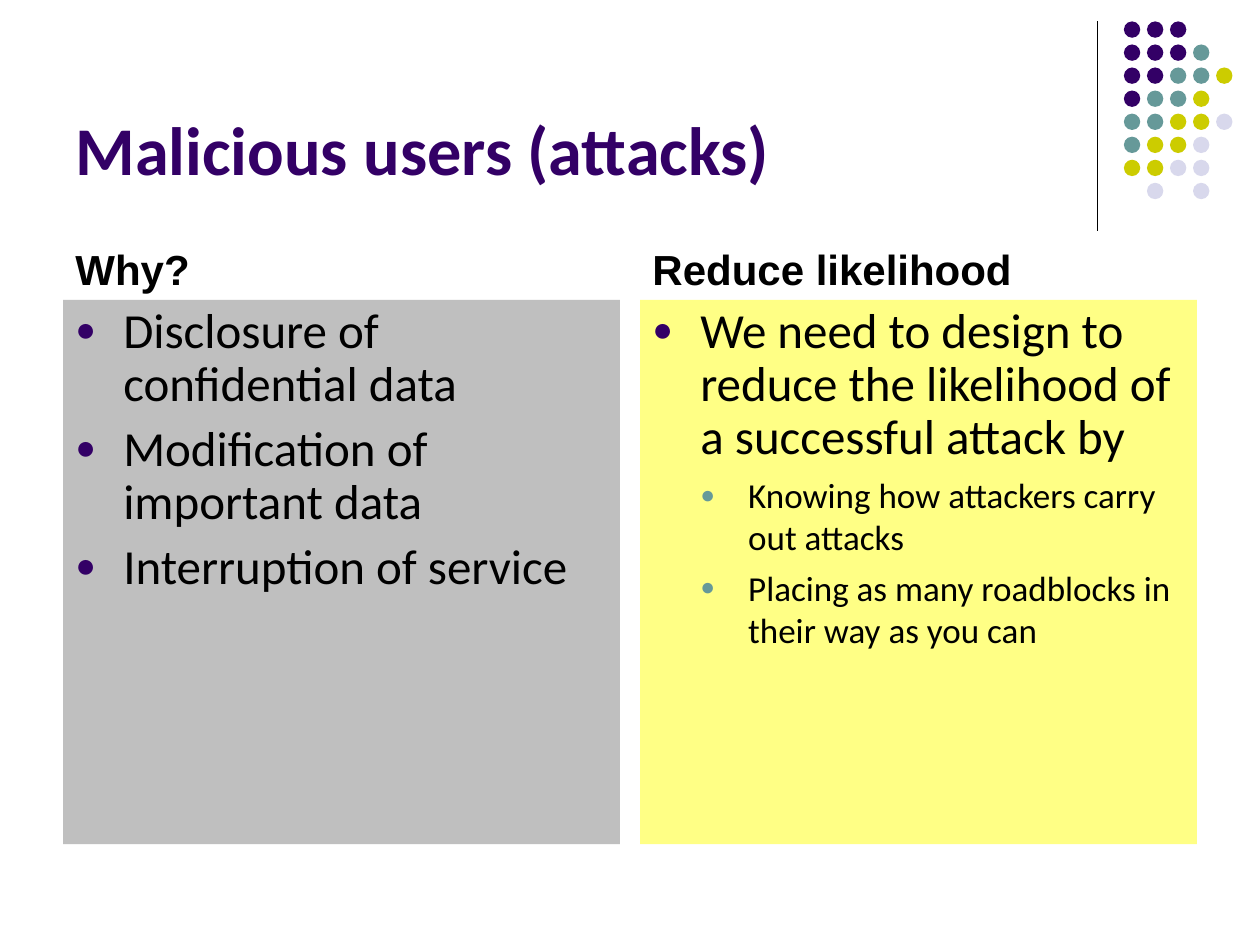
from lxml import etree
from pptx import Presentation
from pptx import util as u
from pptx.dml.color import RGBColor
from pptx.enum import shapes, text
from pptx.oxml.ns import qn

HUES = {
    "plum": "330066", "teal": "669999", "lime": "CCCC00", "mist": "D8D8EC",
    "gray": "BFBFBF", "lemon": "FFFF85", "black": "000000",
}
WIDE, HIGH = 10, 7.5
EDGE, GAP = 0.05 * WIDE, 0.16
SPAN = (WIDE - 2 * EDGE - GAP) / 2
HEAD, BODY, FOOT = 1.68, 2.38, 6.7
DOTS = ["ppp", "pppt", "ppttl", "pttl", "ttllm", "tllm", "llmm", " m m"]
KEYS = {"p": "plum", "t": "teal", "l": "lime", "m": "mist"}
STEP, DOT = 0.183, 0.13
LEVELS = [
    {"size": 28, "mark": "plum", "space": 7, "line": 0.9},
    {"size": 20, "mark": "teal", "space": 5, "line": 1.0},
]
COLUMNS = [
    ("Why?", "gray", [
        (0, "Disclosure of confidential data"),
        (0, "Modification of important data"),
        (0, "Interruption of service"),
    ]),
    ("Reduce likelihood", "lemon", [
        (0, "We need to design to reduce the likelihood of a successful attack by"),
        (1, "Knowing how attackers carry out attacks"),
        (1, "Placing as many roadblocks in their way as you can"),
    ]),
]


def color(name):
    return RGBColor.from_string(HUES[name])


def box(x, y, w, h):
    return [u.Inches(n) for n in (x, y, w, h)]


def style(para, face, size, hue, bold=False):
    para.alignment = text.PP_ALIGN.LEFT
    font = para.font
    font.name, font.size, font.bold = face, u.Pt(size), bold
    font.color.rgb = color(hue)


def shape(slide, kind, place, hue):
    item = slide.shapes.add_shape(kind, *box(*place))
    item.shadow.inherit = False
    item.fill.solid()
    item.fill.fore_color.rgb = color(hue)
    item.line.fill.background()
    return item


def rule(slide):
    x = 8.71
    line = slide.shapes.add_connector(
        shapes.MSO_CONNECTOR.STRAIGHT, *box(x, 0.17, x, 1.83))
    line.line.color.rgb = color("black")
    line.line.width = u.Pt(0.75)
    etree.SubElement(line._element.spPr, qn("a:effectLst"))


def dots(slide):
    for row, keys in enumerate(DOTS):
        for col, key in enumerate(keys):
            if key in KEYS:
                place = (8.92 + col * STEP, 0.17 + row * STEP, DOT, DOT)
                shape(slide, shapes.MSO_SHAPE.OVAL, place, KEYS[key])


def title(slide, words):
    item = slide.shapes.title
    item.left, item.top, item.width, item.height = box(EDGE, 0.3, WIDE - 2 * EDGE, 1.25)
    frame = item.text_frame
    frame.text = words
    frame.auto_size = text.MSO_AUTO_SIZE.NONE
    frame.vertical_anchor = text.MSO_ANCHOR.BOTTOM
    style(frame.paragraphs[0], "Calibri", 39, "plum", True)


def label(slide, x, words):
    frame = slide.shapes.add_textbox(*box(x, HEAD, SPAN, BODY - HEAD)).text_frame
    frame.word_wrap = True
    frame.vertical_anchor = text.MSO_ANCHOR.BOTTOM
    para = frame.paragraphs[0]
    para.text = words
    para.space_before = u.Pt(6)
    style(para, "Arial", 24, "black", True)


def bullet(para, level, hue):
    props = para._p.get_or_add_pPr()
    props.set("marL", str(u.Inches(0.38 * (level + 1))))
    props.set("indent", str(u.Inches(-0.38)))
    tint = etree.SubElement(props, qn("a:buClr"))
    etree.SubElement(tint, qn("a:srgbClr"), val=HUES[hue])
    etree.SubElement(props, qn("a:buSzPct"), val="70000")
    etree.SubElement(props, qn("a:buFont"), typeface="Arial")
    etree.SubElement(props, qn("a:buChar"), char="●")


def panel(slide, x, hue, items):
    place = (x, BODY, SPAN, FOOT - BODY)
    frame = shape(slide, shapes.MSO_SHAPE.RECTANGLE, place, hue).text_frame
    frame.word_wrap = True
    frame.vertical_anchor = text.MSO_ANCHOR.TOP
    for n, (level, words) in enumerate(items):
        look = LEVELS[level]
        para = frame.add_paragraph() if n else frame.paragraphs[0]
        para.text = words
        para.level = level
        para.line_spacing = look["line"]
        para.space_before = u.Pt(look["space"])
        bullet(para, level, look["mark"])
        style(para, "Calibri", look["size"], "black")


def main():
    deck = Presentation()
    deck.slide_width, deck.slide_height = u.Inches(WIDE), u.Inches(HIGH)
    slide = deck.slides.add_slide(deck.slide_layouts[5])
    rule(slide)
    dots(slide)
    title(slide, "Malicious users (attacks)")
    for n, (words, hue, items) in enumerate(COLUMNS):
        x = EDGE + n * (SPAN + GAP)
        label(slide, x, words)
        panel(slide, x, hue, items)
    deck.save("out.pptx")


if __name__ == "__main__":
    main()
